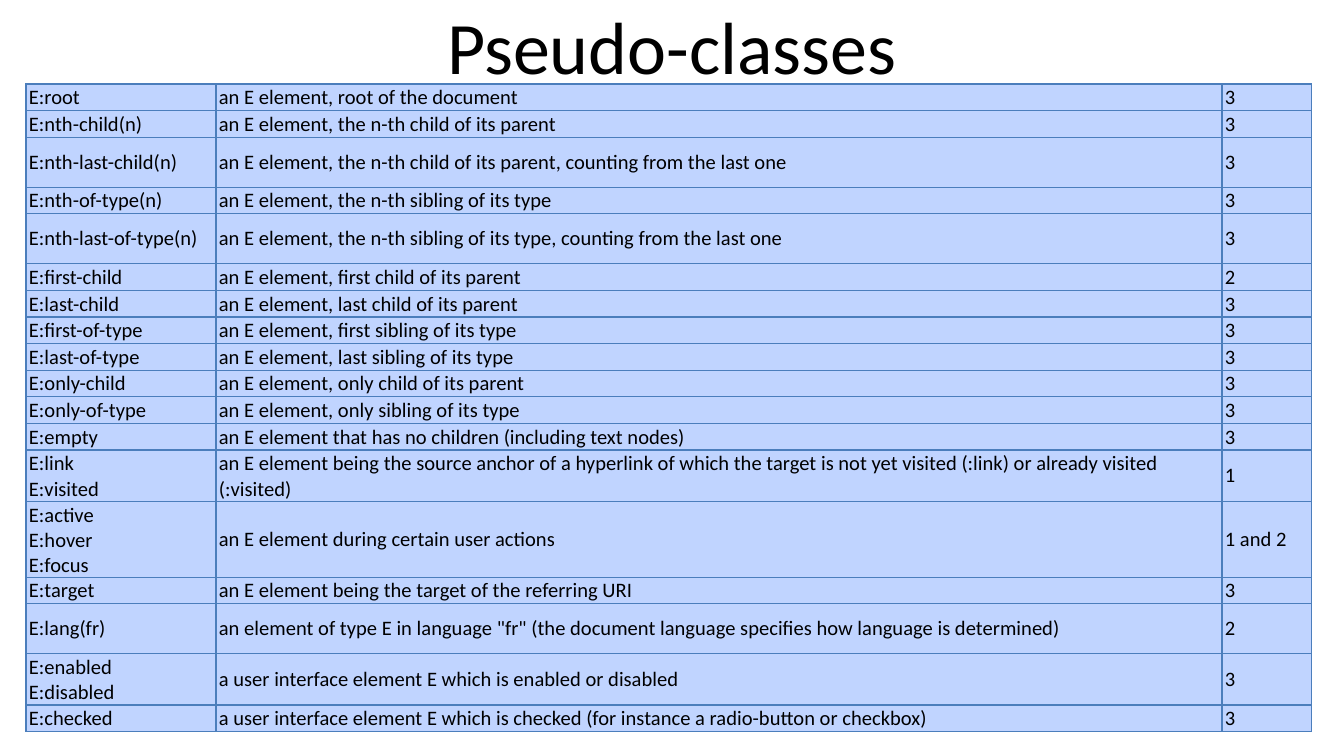
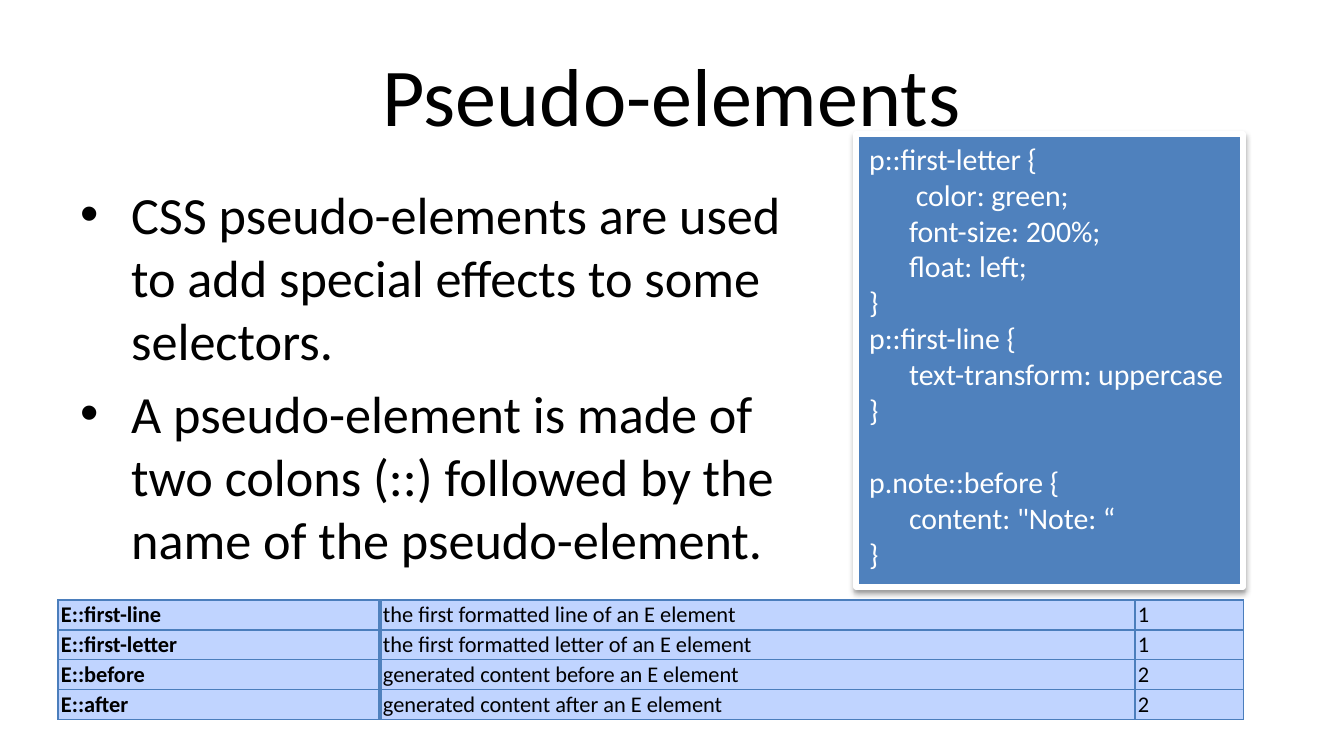
from lxml.etree import SubElement
from pptx import Presentation
from pptx.dml.color import RGBColor
from pptx.enum.shapes import MSO_SHAPE as Shape
from pptx.enum.text import MSO_ANCHOR as Anchor, MSO_AUTO_SIZE as AutoSize, PP_ALIGN as Align
from pptx.oxml.ns import qn
from pptx.util import Emu, Pt

COLOURS = {
    "text": "000000",
    "page": "FFFFFF",
    "cell": "C0D4FF",
    "grid": "4B7EBC",
    "accent": "4F81BD",
}
FONT = "Calibri"
EMU_PER_PIXEL = 914400 / 134.4


def px(length):
    return Emu(round(length * EMU_PER_PIXEL))


def rgb(name):
    return RGBColor.from_string(COLOURS[name])


def assign(target, **values):
    for key, value in values.items():
        setattr(target, key, value)


def add_xml(parent, tag, **attributes):
    return SubElement(parent, qn(tag), {key: str(value) for key, value in attributes.items()})


class Deck:
    def __init__(self, width, height):
        self.presentation = Presentation()
        assign(self.presentation, slide_width=px(width), slide_height=px(height))
        self.slide = None

    def new_slide(self):
        self.slide = self.presentation.slides.add_slide(self.presentation.slide_layouts[6])
        background = self.slide.background.fill
        background.solid()
        background.fore_color.rgb = rgb("page")

    def fill_paragraph(self, paragraph, text, size, colour="text", bold=False, **layout):
        paragraph.text = text
        assign(paragraph, **layout)
        for run in paragraph.runs:
            assign(run.font, name=FONT, size=Pt(size), bold=bold)
            run.font.color.rgb = rgb(colour)

    def paragraphs(self, frame, count):
        for _ in range(count - 1):
            frame.add_paragraph()
        return frame.paragraphs

    def text_box(self, box):
        frame = self.slide.shapes.add_textbox(*map(px, box)).text_frame
        frame.word_wrap = True
        return frame

    def title(self, text, box, size):
        frame = self.text_box(box)
        frame.vertical_anchor = Anchor.MIDDLE
        self.fill_paragraph(frame.paragraphs[0], text, size, alignment=Align.CENTER)

    def bullets(self, items, box, size, indent):
        frame = self.text_box(box)
        for paragraph, item in zip(self.paragraphs(frame, len(items)), items):
            self.fill_paragraph(paragraph, item, size, space_before=Pt(size * 0.2))
            properties = paragraph._p.get_or_add_pPr()
            properties.set("marL", str(px(indent)))
            properties.set("indent", str(-px(indent)))
            add_xml(properties, "a:buFont", typeface="Arial")
            add_xml(properties, "a:buChar", char="•")

    def code(self, lines, box, size, indent, gap_before):
        panel = self.slide.shapes.add_shape(Shape.RECTANGLE, *map(px, box))
        panel.fill.solid()
        panel.fill.fore_color.rgb = rgb("accent")
        panel.line.color.rgb = rgb("page")
        panel.line.width = Pt(3)
        self.shadow(panel)
        frame = panel.text_frame
        assign(frame, word_wrap=False, auto_size=AutoSize.SHAPE_TO_FIT_TEXT,
               vertical_anchor=Anchor.TOP)
        for paragraph, line in zip(self.paragraphs(frame, len(lines)), lines):
            self.fill_paragraph(paragraph, line.removeprefix("\t"), size, "page",
                                alignment=Align.LEFT)
            if line.startswith("\t"):
                paragraph._p.get_or_add_pPr().set("marL", str(px(indent)))
            if line == gap_before:
                paragraph.space_before = Pt(size * 1.22)

    def shadow(self, panel):
        panel.shadow.inherit = False
        effects = panel._element.spPr.find(qn("a:effectLst"))
        outer = add_xml(effects, "a:outerShdw", blurRad=Pt(3.1), dist=Pt(1.6),
                        dir=90 * 60000, rotWithShape=0)
        shade = add_xml(outer, "a:srgbClr", val=COLOURS["text"])
        add_xml(shade, "a:alpha", val=38000)

    def borders(self, cell, edges):
        properties = cell._tc.get_or_add_tcPr()
        for side, (colour, width) in edges.items():
            line = add_xml(properties, f"a:ln{side}", w=Pt(width))
            fill = add_xml(line, "a:solidFill")
            add_xml(fill, "a:srgbClr", val=COLOURS[colour])

    def table(self, rows, origin, widths, heights, size, key_column=False):
        extent = (sum(widths), sum(heights))
        table = self.slide.shapes.add_table(
            len(rows), len(widths), *map(px, origin + extent)).table
        assign(table, first_row=False, horz_banding=False)
        for column, width in zip(table.columns, widths):
            column.width = px(width)
        for row, height in zip(table.rows, heights):
            row.height = px(height)
        for r, values in enumerate(rows):
            for c, value in enumerate(values):
                cell = table.cell(r, c)
                edges = dict.fromkeys("LRTB", ("grid", 0.75))
                if key_column and c == 0:
                    edges["R"] = ("accent", 2)
                if key_column and c == 1:
                    del edges["L"]
                self.borders(cell, edges)
                cell.fill.solid()
                cell.fill.fore_color.rgb = rgb("cell")
                assign(cell, vertical_anchor=Anchor.MIDDLE, margin_left=px(3),
                       margin_right=px(3), margin_top=px(1), margin_bottom=px(1))
                self.fill_paragraph(cell.text_frame.paragraphs[0], value, size,
                                    bold=key_column and c == 0)


SINGLE, DOUBLE, TRIPLE = 26, 50, 73
PSEUDO_CLASSES = [
    (SINGLE, "E:root", "an E element, root of the document", "3"),
    (SINGLE, "E:nth-child(n)", "an E element, the n-th child of its parent", "3"),
    (DOUBLE, "E:nth-last-child(n)",
     "an E element, the n-th child of its parent, counting from the last one", "3"),
    (SINGLE, "E:nth-of-type(n)", "an E element, the n-th sibling of its type", "3"),
    (DOUBLE, "E:nth-last-of-type(n)",
     "an E element, the n-th sibling of its type, counting from the last one", "3"),
    (SINGLE, "E:first-child", "an E element, first child of its parent", "2"),
    (SINGLE, "E:last-child", "an E element, last child of its parent", "3"),
    (SINGLE, "E:first-of-type", "an E element, first sibling of its type", "3"),
    (SINGLE, "E:last-of-type", "an E element, last sibling of its type", "3"),
    (SINGLE, "E:only-child", "an E element, only child of its parent", "3"),
    (SINGLE, "E:only-of-type", "an E element, only sibling of its type", "3"),
    (SINGLE, "E:empty", "an E element that has no children (including text nodes)", "3"),
    (DOUBLE, "E:link\vE:visited",
     "an E element being the source anchor of a hyperlink of which the target is "
     "not yet visited (:link) or already visited (:visited)", "1"),
    (TRIPLE, "E:active\vE:hover\vE:focus",
     "an E element during certain user actions", "1 and 2"),
    (SINGLE, "E:target", "an E element being the target of the referring URI", "3"),
    (DOUBLE, "E:lang(fr)",
     'an element of type E in language "fr" (the document language specifies how '
     "language is determined)", "2"),
    (DOUBLE, "E:enabled\vE:disabled",
     "a user interface element E which is enabled or disabled", "3"),
    (SINGLE, "E:checked",
     "a user interface element E which is checked (for instance a radio-button or "
     "checkbox)", "3"),
]
PSEUDO_ELEMENTS = [
    ("E::first-line", "the first formatted line of an E element", "1"),
    ("E::first-letter", "the first formatted letter of an E element", "1"),
    ("E::before", "generated content before an E element", "2"),
    ("E::after", "generated content after an E element", "2"),
]
EXPLANATION = [
    "CSS pseudo-elements are used to add special effects to some selectors.",
    "A pseudo-element is made of two colons (::) followed by the name of the pseudo-element.",
]
NOTE_RULE = "p.note::before {"
STYLE_RULES = [
    "p::first-letter {", "\t color: green;", "\tfont-size: 200%;", "\tfloat: left;", "}",
    "p::first-line {", "\ttext-transform: uppercase", "}",
    NOTE_RULE, '\tcontent: "Note: “', "}",
]

deck = Deck(1344, 756)

deck.new_slide()
deck.title("Pseudo-classes", (67, 8, 1210, 73), 39.6)
deck.table([row[1:] for row in PSEUDO_CLASSES], (26, 84), (190, 1006, 90),
           [row[0] for row in PSEUDO_CLASSES], 11)

deck.new_slide()
deck.title("Pseudo-elements", (67, 31, 1210, 126), 44)
deck.bullets(EXPLANATION, (67, 176, 774, 392), 28, 51)
deck.table(PSEUDO_ELEMENTS, (58, 600), (322, 755, 109),
           [30] * len(PSEUDO_ELEMENTS), 12, key_column=True)
deck.code(STYLE_RULES, (856, 134, 387, 453), 16, 40, NOTE_RULE)

deck.presentation.save("out.pptx")
